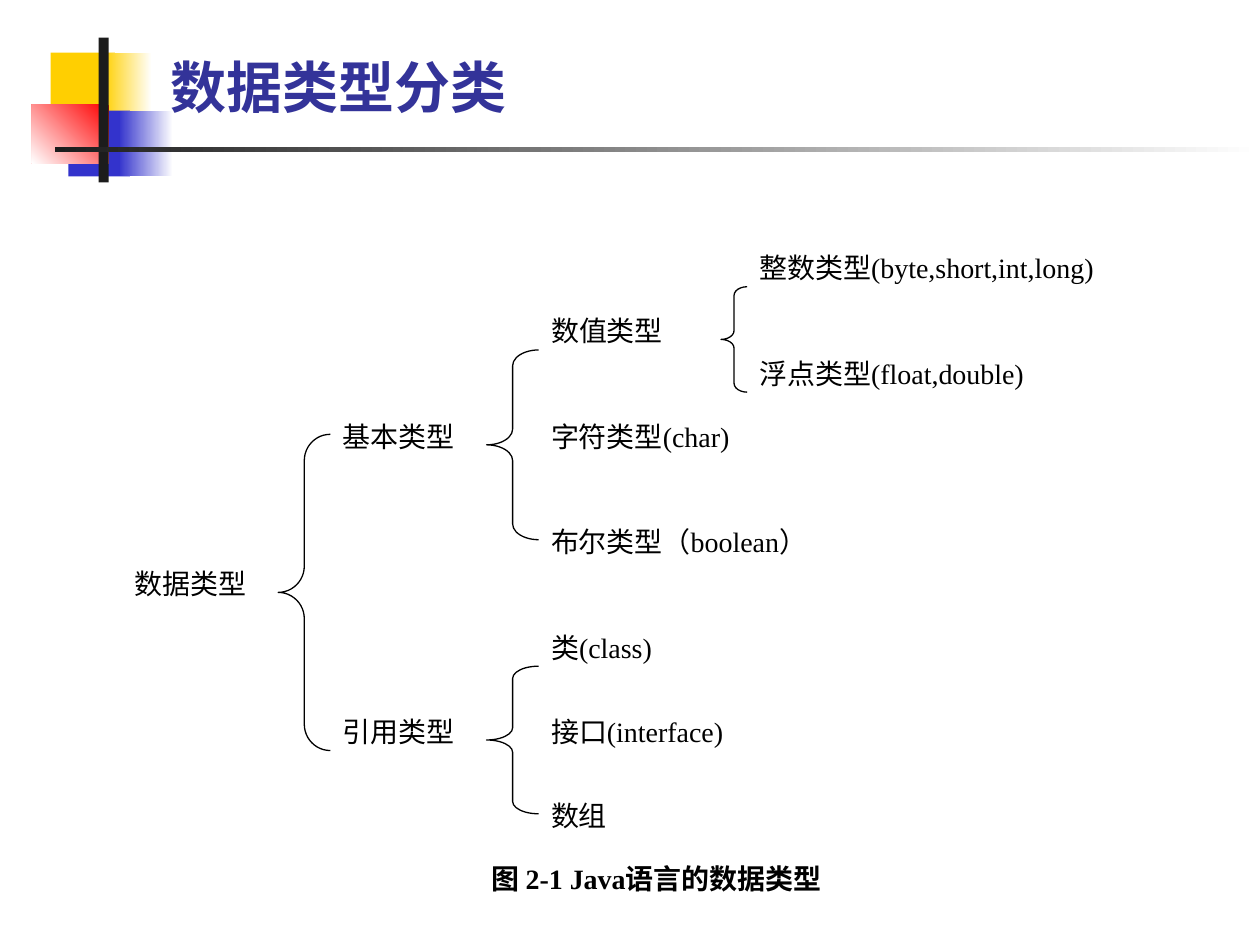
from pptx import Presentation
from pptx.dml.color import RGBColor
from pptx.enum.shapes import MSO_SHAPE as Preset
from pptx.enum.text import MSO_ANCHOR as Anchor, MSO_AUTO_SIZE as AutoSize, PP_ALIGN as Align
from pptx.util import Cm, Pt

# Grid of the type tree, in centimetres
UNIT_X, UNIT_Y = 0.525, 0.425
COLUMN = 8  # grid units from one level to the next
LABEL_ROWS = 3

# (level, row, width in units, text)
LABELS = [
    (0, 15, 7, "数据类型"),
    (1, 8, 7, "基本类型"),
    (1, 22, 7, "引用类型"),
    (2, 3, 7, "数值类型"),
    (2, 8, 10, "字符类型(char)"),
    (2, 13, 12, "布尔类型（boolean）"),
    (2, 18, 9, "类(class)"),
    (2, 22, 9, "接口(interface)"),
    (2, 26, 6, "数组"),
    (3, 0, 16, "整数类型(byte,short,int,long)"),
    (3, 5, 13, "浮点类型(float,double)"),
]
# (level it opens to, first row, last row, width in units)
BRACES = [(1, 9, 24, 2), (2, 5, 14, 2), (2, 20, 27, 2), (3, 2, 7, 1)]

# (left, top, width, height, colours, gradient angle)
ORNAMENTS = [
    (0.38, 0.3, 1.3, 1.32, ["FFCF01"], 0),
    (1.45, 0.3, 0.97, 1.32, ["FFFFFF", "FFCF01"], 180),
    (0.74, 1.47, 1.24, 1.33, ["3333CC"], 0),
    (1.75, 1.47, 1.1, 1.32, ["FFFFFF", "3333CC"], 180),
    (0, 1.35, 1.55, 1.18, ["FF0000", "FFFFFF"], 225),
    (1.35, 0, 0.2, 2.92, ["1C1C1C"], 0),
    (0.46, 2.2, 24.3, 0.11, ["FFFFFF", "1C1C1C"], 180),
]


def colour(hex_text):
    return RGBColor.from_string(hex_text)


def apply(target, formats):
    for name, value in formats.items():
        setattr(target, name, value)


def write(shape, text, align, **font):
    """Fill a shape with one formatted line of text."""
    apply(shape.text_frame, dict(word_wrap=True, auto_size=AutoSize.NONE,
                                 vertical_anchor=Anchor.TOP))
    para = shape.text_frame.paragraphs[0]
    para.alignment = align
    span = para.add_run()
    span.text = text
    span.font.color.rgb = colour(font.pop("hex_text", "000000"))
    apply(span.font, {"name": "Times New Roman", "size": Pt(16), **font})


def add_preset(page, preset, left, top, width, height):
    shape = page.shapes.add_shape(preset, Cm(left), Cm(top), Cm(width), Cm(height))
    shape.shadow.inherit = False
    return shape


def add_ornaments(page, left, top):
    for x, y, width, height, colours, angle in ORNAMENTS:
        block = add_preset(page, Preset.RECTANGLE, left + x, top + y, width, height)
        block.line.fill.background()
        if len(colours) == 1:
            block.fill.solid()
            block.fill.fore_color.rgb = colour(colours[0])
        else:
            block.fill.gradient()
            block.fill.gradient_angle = angle
            for stop, hex_text in zip(block.fill.gradient_stops, colours):
                stop.color.rgb = colour(hex_text)


def add_title(page, left, top, width, height):
    title = page.shapes.title
    apply(title, dict(left=Cm(left), top=Cm(top), width=Cm(width), height=Cm(height)))
    write(title, "数据类型分类", Align.LEFT, name="Karla", size=Pt(32),
          bold=True, hex_text="333399")
    title.text_frame.vertical_anchor = Anchor.BOTTOM
    page.shapes.element.append(title.element)  # in front of the ornaments


def add_brace(page, left, top, width, height):
    brace = add_preset(page, Preset.LEFT_BRACE, left, top, width, height)
    brace.adjustments[0] = height / 12 / width
    brace.fill.background()
    brace.line.color.rgb = colour("000000")
    brace.line.width = Pt(0.75)


def add_type_tree(page, left, top):
    for level, row, units, text in LABELS:
        box = page.shapes.add_textbox(
            Cm(left + level * COLUMN * UNIT_X), Cm(top + row * UNIT_Y),
            Cm(units * UNIT_X), Cm(LABEL_ROWS * UNIT_Y))
        write(box, text, Align.JUSTIFY)
    for level, first, last, units in BRACES:
        add_brace(page, left + (level * COLUMN - units) * UNIT_X, top + first * UNIT_Y,
                  units * UNIT_X, (last - first) * UNIT_Y)


def add_caption(page, left, top, width, height):
    caption = add_preset(page, Preset.RECTANGLE, left, top, width, height)
    caption.fill.solid()
    caption.fill.fore_color.rgb = colour("FFFFFF")
    caption.line.fill.background()
    write(caption, "图 2-1 Java语言的数据类型", Align.CENTER, bold=True)


def main():
    deck = Presentation()
    deck.slide_width, deck.slide_height = Cm(25.4), Cm(19.05)
    page = deck.slides.add_slide(deck.slide_layouts[5])
    add_ornaments(page, 0.64, 0.76)
    add_title(page, 3.18, 0.64, 17.12, 1.9)
    add_type_tree(page, 2.46, 4.93)
    add_caption(page, 5.1, 17.25, 16.26, 1.27)
    deck.save("out.pptx")


if __name__ == "__main__":
    main()
